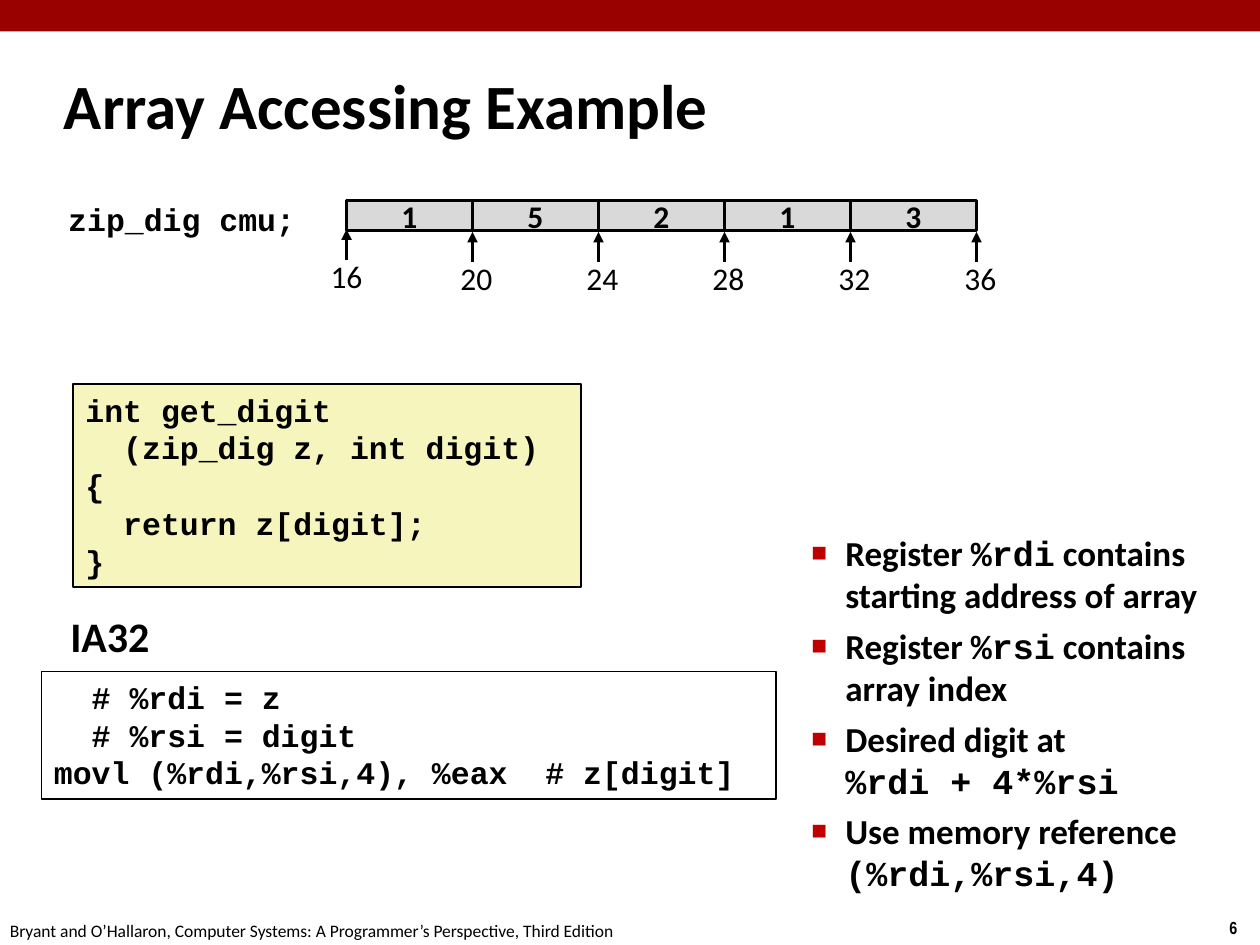
from lxml import etree
from pptx import Presentation
from pptx import util as u
from pptx.dml.color import RGBColor
from pptx.enum import shapes, text
from pptx.oxml import ns

I, Pt = u.Inches, u.Pt
BLACK = RGBColor(0, 0, 0)
RED = RGBColor(0x99, 0, 0)
GREY = RGBColor(0xD9, 0xD9, 0xD9)
CREAM = RGBColor(0xF6, 0xF5, 0xBD)
BULLET = "C00000"
SANS, MONO = "Calibri", "Courier New"
LEFT, MID, RIGHT = (text.PP_ALIGN.LEFT, text.PP_ALIGN.CENTER,
                    text.PP_ALIGN.RIGHT)

CODE = ["int get_digit", "  (zip_dig z, int digit)", "{",
        "  return z[digit];", "}"]
ASM = ["  # %rdi = z", "  # %rsi = digit",
       "movl (%rdi,%rsi,4), %eax  # z[digit]"]
# Backticks enclose code; a newline is a line break.
NOTES = ["Register `%rdi` contains starting address of array",
         "Register `%rsi` contains \narray index",
         "Desired digit at \n`%rdi + 4*%rsi`",
         "Use memory reference `(%rdi,%rsi,4)`"]


def sub(node, tag, **attrs):
    return etree.SubElement(node, ns.qn(tag), attrs)


def style(font, **look):
    font.color.rgb = BLACK
    for key, val in look.items():
        setattr(font, key, val)


def write(shape, lines, size, name=SANS, bold=True, align=LEFT, wrap=True,
          anchor=text.MSO_ANCHOR.TOP):
    frame = shape.text_frame
    frame.word_wrap = wrap
    frame.vertical_anchor = anchor
    for n, line in enumerate(lines):
        para = frame.add_paragraph() if n else frame.paragraphs[0]
        para.alignment = align
        run = para.add_run()
        run.text = line
        style(run.font, size=Pt(size), name=name, bold=bold)


def label(slide, box, line, size, **look):
    shape = slide.shapes.add_textbox(*map(I, box))
    write(shape, [line], size, **look)


def rect(slide, box, fill=None, line=None):
    shape = slide.shapes.add_shape(shapes.MSO_SHAPE.RECTANGLE, *map(I, box))
    shape.shadow.inherit = False
    if fill is None:
        shape.fill.background()
    else:
        shape.fill.solid()
        shape.fill.fore_color.rgb = fill
    if line is None:
        shape.line.fill.background()
    else:
        shape.line.color.rgb = BLACK
        shape.line.width = Pt(line)
    return shape


def arrow(slide, x, low, high):
    line = slide.shapes.add_connector(
        shapes.MSO_CONNECTOR.STRAIGHT, I(x), I(low), I(x), I(high))
    line.line.color.rgb = BLACK
    line.line.width = Pt(2)
    sub(line.line._get_or_add_ln(), "a:tailEnd", type="triangle")
    sub(line._element.spPr, "a:effectLst")


def array(slide, box, digits, start, step):
    """Draw a row of cells with an address under each cell edge."""
    x, y, wide, high = box
    cell = wide / len(digits)
    for n, digit in enumerate(digits):
        shape = rect(slide, (x + n * cell, y, cell, high), GREY, 2)
        write(shape, [digit], 18, align=MID, wrap=False,
              anchor=text.MSO_ANCHOR.MIDDLE)
    for n in range(len(digits) + 1):
        edge = x + n * cell
        drop = 0.01 if n else -0.01
        shift = 0.03 if n else 0
        arrow(slide, edge, y + high + 0.24 + drop, y + high + drop)
        label(slide, (edge + shift - 0.54, y + 0.41 + drop, 1.08, 0.4),
              str(start + n * step), 18, bold=False, align=MID)


def notes(slide, box):
    frame = slide.shapes.add_textbox(*map(I, box)).text_frame
    frame.word_wrap = True
    for n, note in enumerate(NOTES):
        para = frame.add_paragraph() if n else frame.paragraphs[0]
        para.space_before = Pt(5)
        props = para._p.get_or_add_pPr()
        props.set("marL", str(I(0.44)))
        props.set("indent", str(I(-0.27)))
        sub(sub(props, "a:buClr"), "a:srgbClr", val=BULLET)
        sub(props, "a:buSzPct", val="75000")
        sub(props, "a:buFont", typeface="Arial")
        sub(props, "a:buChar", char="■")
        for k, part in enumerate(note.split("`")):
            for j, piece in enumerate(part.split("\n")):
                if j:
                    para.add_line_break()
                if piece:
                    run = para.add_run()
                    run.text = piece
                    style(run.font, size=Pt(20), bold=True,
                          name=MONO if k % 2 else SANS)


def frame(slide):
    """Add the top band, footer and page number."""
    rect(slide, (0, 0, 10, 0.25), RED)
    label(slide, (9.66, 7.23, 0.34, 0.27), "6", 10, name="Arial Narrow",
          wrap=False)
    label(slide, (-0.02, 7.25, 5.08, 0.27),
          "Bryant and O’Hallaron, Computer Systems: "
          "A Programmer’s Perspective, Third Edition", 10,
          bold=False, wrap=False)


def main():
    deck = Presentation()
    deck.slide_width, deck.slide_height = I(10), I(7.5)
    slide = deck.slides.add_slide(deck.slide_layouts[6])
    frame(slide)
    label(slide, (0.41, 0.41, 8.3, 0.83), "Array Accessing Example", 36,
          anchor=text.MSO_ANCHOR.MIDDLE)
    notes(slide, (6.17, 4.17, 3.75, 3.26))
    write(rect(slide, (0.58, 3.05, 4.03, 1.61), CREAM, 1), CODE, 18, MONO)
    write(rect(slide, (0.33, 5.33, 5.83, 1.01), None, 1), ASM, 18, MONO)
    label(slide, (0.46, 4.8, 0.83, 0.5), "IA32", 24, wrap=False)
    label(slide, (0.33, 1.54, 2.11, 0.4), "zip_dig cmu;", 18, name=MONO,
          align=RIGHT)
    array(slide, (2.75, 1.59, 5, 0.24), "15213", 16, 4)
    deck.save("out.pptx")


if __name__ == "__main__":
    main()
